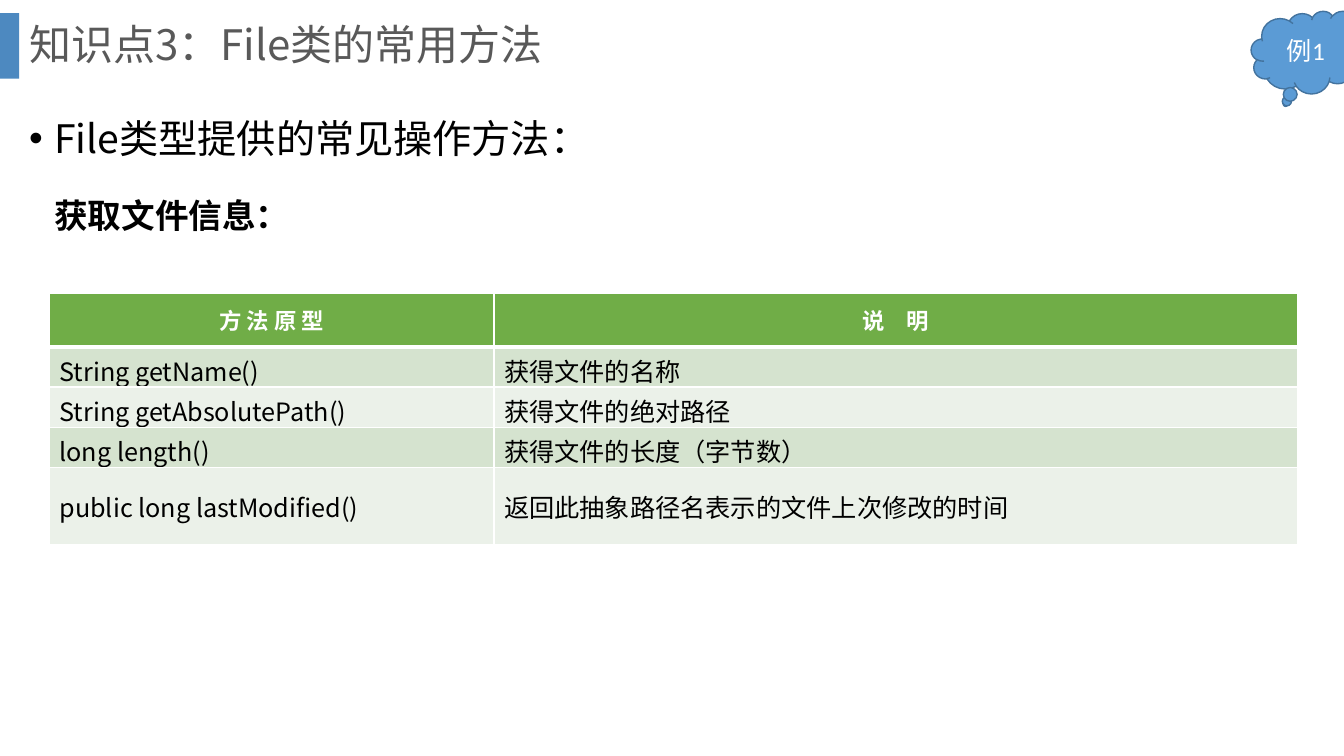
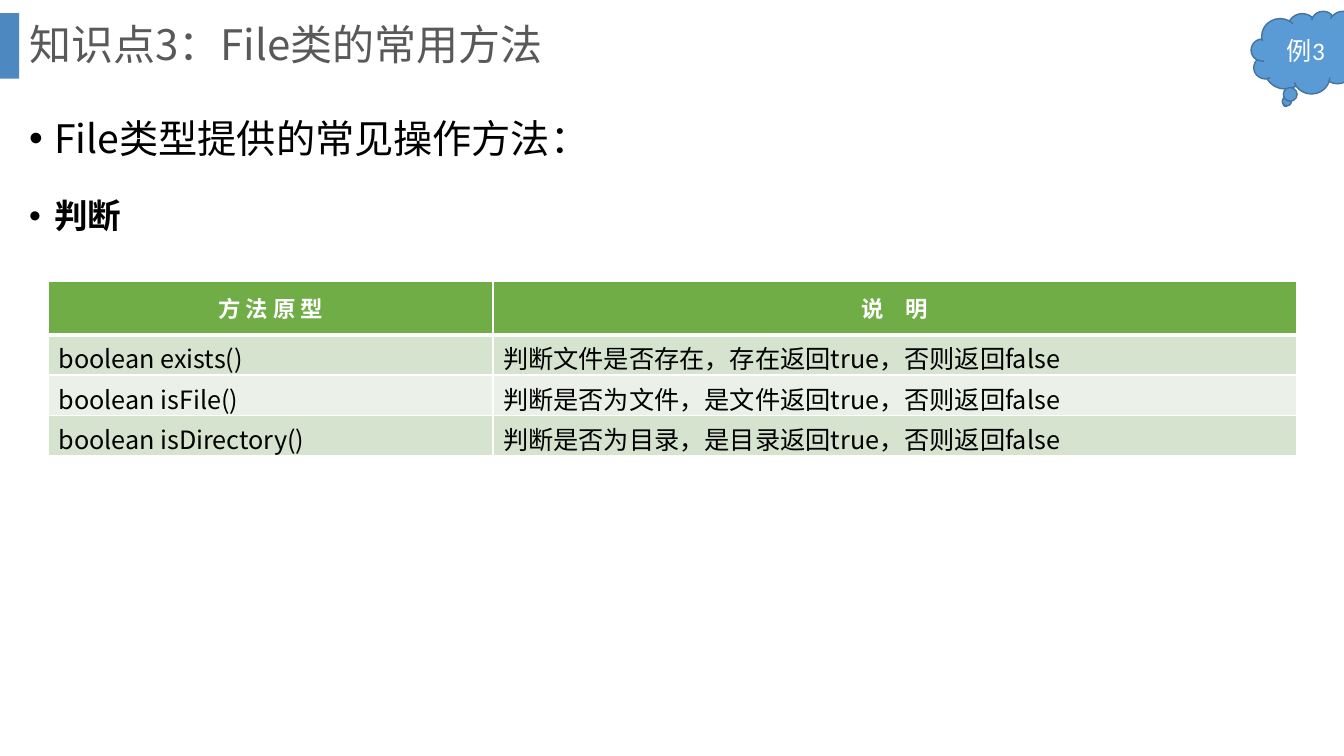
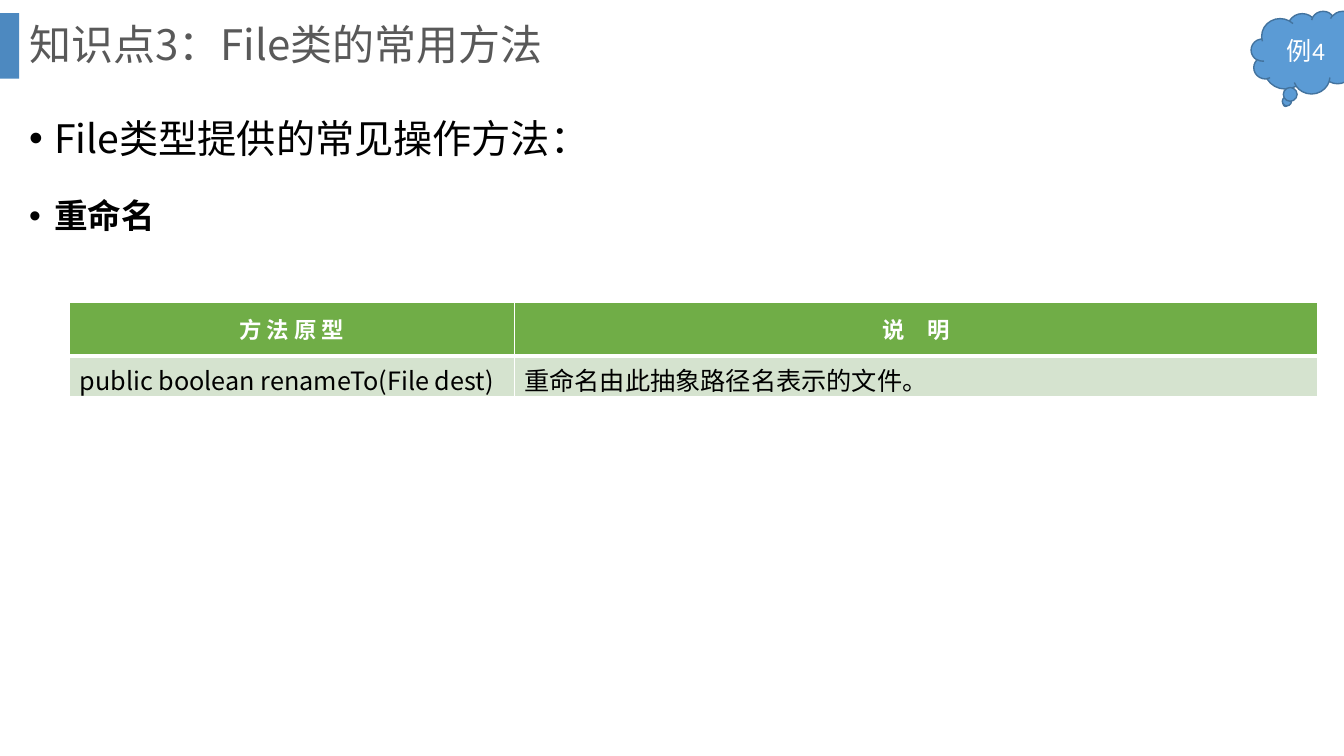
from pptx import Presentation
from pptx.dml.color import RGBColor
from pptx.enum.shapes import MSO_SHAPE as Geo
from pptx.enum.text import MSO_ANCHOR as Anchor, PP_ALIGN as Align
from pptx.oxml.ns import qn
from pptx.util import Inches, Pt
from lxml.etree import SubElement as Sub

TITLE = "知识点3：File类的常用方法"
LEAD = "File类型提供的常见操作方法："
HEAD = ("方 法 原 型", "说　明")
SLIDES = [
    {"tag": "例1", "topic": "获取文件信息：", "dot": False, "at": (0.49, 2.91), "last": 0.76,
     "rows": [("String getName()", "获得文件的名称"),
              ("String getAbsolutePath()", "获得文件的绝对路径"),
              ("long length()", "获得文件的长度（字节数）"),
              ("public long lastModified()", "返回此抽象路径名表示的文件上次修改的时间")]},
    {"tag": "例3", "topic": "判断", "dot": True, "at": (0.48, 2.79), "last": 0.4,
     "rows": [("boolean exists()", "判断文件是否存在，存在返回true，否则返回false"),
              ("boolean isFile()", "判断是否为文件，是文件返回true，否则返回false"),
              ("boolean isDirectory()", "判断是否为目录，是目录返回true，否则返回false")]},
    {"tag": "例4", "topic": "重命名", "dot": True, "at": (0.69, 3), "last": 0.4,
     "rows": [("public boolean renameTo(File dest)", "重命名由此抽象路径名表示的文件。")]},
]

WHITE = RGBColor(0xFF, 0xFF, 0xFF)
BLACK = RGBColor(0, 0, 0)
GRAY = RGBColor(0x59, 0x59, 0x59)
BAR = RGBColor(0x2E, 0x75, 0xB6)
CLOUD = RGBColor(0x5B, 0x9B, 0xD5)
EDGE = RGBColor(0x43, 0x73, 0x9E)
GREEN = RGBColor(0x70, 0xAD, 0x47)
BANDS = (RGBColor(0xD5, 0xE3, 0xCF), RGBColor(0xEB, 0xF1, 0xE9))

SANS = "Noto Sans CJK SC"
COLS = (4.41, 7.97)
HEAD_H, ROW_H = 0.53, 0.4

FONTS = {
    "title": ({"name": SANS, "size": Pt(30)}, GRAY),
    "lead": ({"name": SANS, "size": Pt(28)}, BLACK),
    "topic": ({"name": SANS, "size": Pt(24), "bold": True}, BLACK),
    "head": ({"name": SANS, "size": Pt(16), "bold": True}, WHITE),
    "cell": ({"name": SANS, "size": Pt(18), "bold": False}, BLACK),
    "tag": ({"name": "Calibri", "size": Pt(18)}, WHITE),
}


def apply(item, fmt):
    for key, val in fmt.items():
        setattr(item, key, val)


def write(para, text, kind, **fmt):
    apply(para, fmt)
    run = para.add_run()
    run.text = text
    vals, color = FONTS[kind]
    apply(run.font, vals)
    run.font.color.rgb = color
    Sub(run.font._element, qn("a:ea"), typeface=SANS)


def add_box(slide, at, anchor):
    frame = slide.shapes.add_textbox(*map(Inches, at)).text_frame
    apply(frame, {"word_wrap": True, "vertical_anchor": anchor})
    return frame


def add_form(slide, geo, at, color):
    form = slide.shapes.add_shape(geo, *map(Inches, at))
    form.shadow.inherit = False
    form.fill.solid()
    form.fill.fore_color.rgb = color
    return form


def indent(para, dot):
    props = para._p.get_or_add_pPr()
    props.set("marL", str(Inches(0.25)))
    props.set("indent", str(Inches(-0.25 if dot else 0)))
    if dot:
        Sub(props, qn("a:buFont"), typeface="Arial")
        Sub(props, qn("a:buChar"), char="•")
    else:
        Sub(props, qn("a:buNone"))


def border(cell, edges):
    props = cell._tc.get_or_add_tcPr()
    for side, width in edges.items():
        line = Sub(props, qn("a:ln" + side), w=str(Pt(width)))
        fill = Sub(line, qn("a:solidFill"))
        Sub(fill, qn("a:srgbClr"), val=str(WHITE))


def add_frame(slide):
    bar = add_form(slide, Geo.RECTANGLE, (0, 0.13, 0.19, 0.65), BAR)
    bar.line.fill.background()
    tint = bar.fill._xPr.find(".//" + qn("a:srgbClr"))
    Sub(tint, qn("a:alpha"), val="85000")
    frame = add_box(slide, (0.19, 0, 12.66, 0.93), Anchor.MIDDLE)
    write(frame.paragraphs[0], TITLE, "title", line_spacing=0.9)


def add_body(slide, topic, dot):
    frame = add_box(slide, (0.19, 0.85, 12.9, 5.96), Anchor.TOP)
    lead, sub = frame.paragraphs[0], frame.add_paragraph()
    indent(lead, True)
    write(lead, LEAD, "lead", line_spacing=1.5)
    indent(sub, dot)
    write(sub, topic, "topic", line_spacing=1.5, space_before=Pt(10))


def add_grid(slide, at, rows, last):
    highs = [HEAD_H] + [ROW_H] * (len(rows) - 1) + [last]
    size = (sum(COLS), sum(highs))
    grid = slide.shapes.add_table(len(highs), len(COLS), *map(Inches, at + size)).table
    apply(grid, {"first_row": False, "horz_banding": False})
    for col, wide in zip(grid.columns, COLS):
        col.width = Inches(wide)
    for i, (row, high, texts) in enumerate(zip(grid.rows, highs, [HEAD] + rows)):
        row.height = Inches(high)
        top = i == 0
        edges = {"L": 1, "R": 1, "T": 3 if i == 1 else 1, "B": 3 if top else 1}
        for cell, text in zip(row.cells, texts):
            cell.vertical_anchor = Anchor.MIDDLE
            border(cell, edges)
            cell.fill.solid()
            cell.fill.fore_color.rgb = GREEN if top else BANDS[(i - 1) % 2]
            write(cell.text_frame.paragraphs[0], text, "head" if top else "cell",
                  alignment=Align.CENTER if top else Align.LEFT)


def add_tag(slide, text):
    cloud = add_form(slide, Geo.CLOUD_CALLOUT, (12.41, 0.11, 1.17, 0.82), CLOUD)
    cloud.line.color.rgb = EDGE
    cloud.line.width = Pt(1)
    cloud.text_frame.vertical_anchor = Anchor.MIDDLE
    write(cloud.text_frame.paragraphs[0], text, "tag", alignment=Align.CENTER)


def main():
    deck = Presentation()
    apply(deck, {"slide_width": Inches(13.33), "slide_height": Inches(7.5)})
    for data in SLIDES:
        slide = deck.slides.add_slide(deck.slide_layouts[6])
        add_frame(slide)
        add_body(slide, data["topic"], data["dot"])
        add_grid(slide, data["at"], data["rows"], data["last"])
        add_tag(slide, data["tag"])
    deck.save("out.pptx")


if __name__ == "__main__":
    main()
